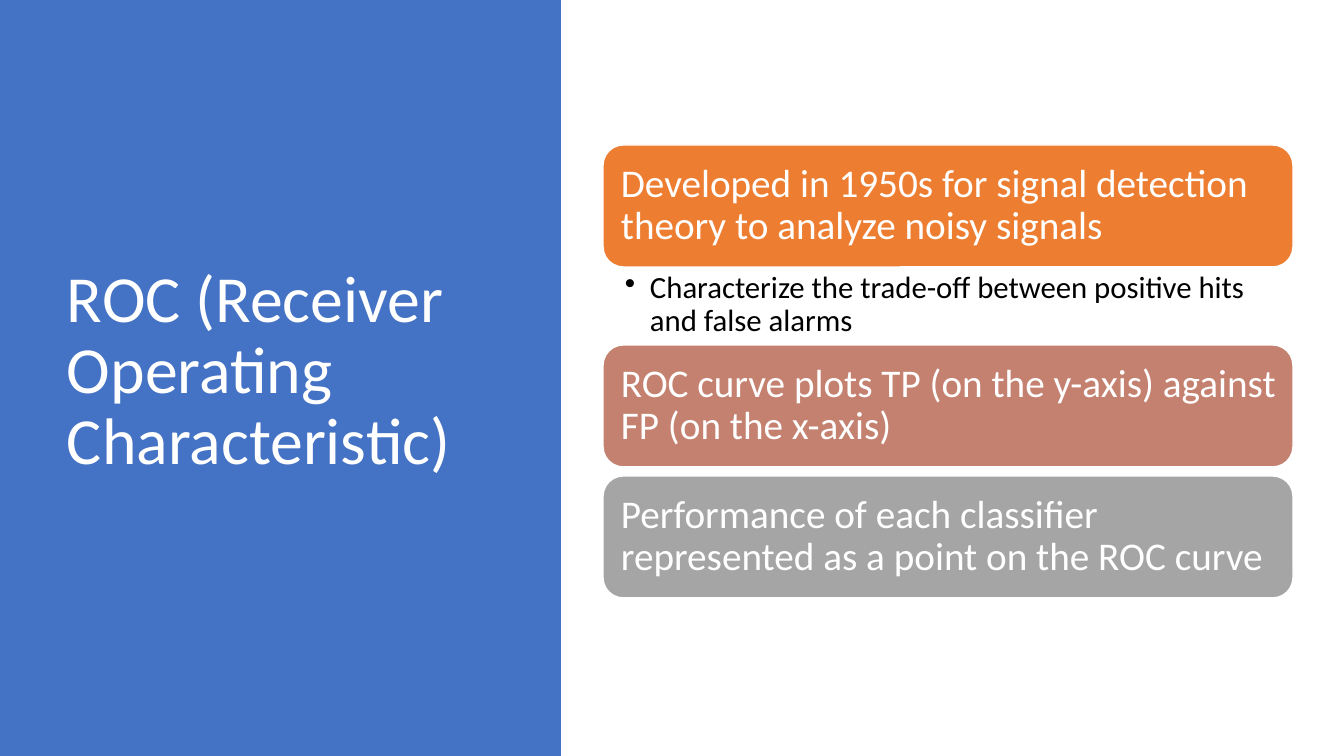
import pptx
import pptx.util
import pptx.dml.color
import pptx.enum.shapes
import pptx.enum.text
from lxml import etree

PX = 12192000 / 1344
THEME = {
    "font": "Calibri",
    "panel": "4472C4",
    "light": "FFFFFF",
    "dark": "000000",
    "title_size": 47,
    "card_size": 28,
    "bullet_size": 22,
}
SHAPE = pptx.enum.shapes.MSO_SHAPE
ANCHOR = pptx.enum.text.MSO_ANCHOR


def px(*lengths):
    return [pptx.util.Emu(round(n * PX)) for n in lengths]


def write(sp, text, size, color, insets, anchor):
    tf = sp.text_frame
    tf.word_wrap = True
    tf.vertical_anchor = anchor
    tf.margin_left, tf.margin_top, tf.margin_right, tf.margin_bottom = px(*insets)
    tf.text = text
    p = tf.paragraphs[0]
    p.alignment = pptx.enum.text.PP_ALIGN.LEFT
    p.line_spacing = 0.9
    r = p.runs[0]
    r.font.name = THEME["font"]
    r.font.size = pptx.util.Pt(size)
    r.font.color.rgb = pptx.dml.color.RGBColor.from_string(color)
    return p


prs = pptx.Presentation()
prs.slide_width, prs.slide_height = px(1344, 756)
s = prs.slides.add_slide(prs.slide_layouts[6])

panel = s.shapes.add_shape(SHAPE.RECTANGLE, *px(0, 0, 561, 756))
panel.shadow.inherit = False
panel.fill.solid()
panel.fill.fore_color.rgb = pptx.dml.color.RGBColor.from_string(THEME["panel"])
panel.line.fill.background()

title = s.shapes.add_textbox(*px(57, 69, 419, 607))
write(title, "ROC (Receiver Operating Characteristic)", THEME["title_size"],
      THEME["light"], (10, 5, 10, 5), ANCHOR.MIDDLE)

cards = [
    (145, "ED7D31", "Developed in 1950s for signal detection theory to analyze noisy signals"),
    (345, "C48170", "ROC curve plots TP (on the y-axis) against FP (on the x-axis)"),
    (476, "A5A5A5", "Performance of each classifier represented as a point on the ROC curve"),
]
for top, color, text in cards:
    card = s.shapes.add_shape(SHAPE.ROUNDED_RECTANGLE, *px(603, top, 690, 122))
    card.shadow.inherit = False
    card.fill.solid()
    card.fill.fore_color.rgb = pptx.dml.color.RGBColor.from_string(color)
    card.line.color.rgb = pptx.dml.color.RGBColor.from_string(THEME["light"])
    card.line.width = pptx.util.Pt(1)
    write(card, text, THEME["card_size"], THEME["light"], (12, 6, 10, 6), ANCHOR.MIDDLE)

detail = s.shapes.add_textbox(*px(603, 268, 690, 77))
p = write(detail, "Characterize the trade-off between positive hits and false alarms",
          THEME["bullet_size"], THEME["dark"], (22, 4, 22, 4), ANCHOR.TOP)
p.level = 1
pPr = p._p.get_or_add_pPr()
indent = px(25)[0]
pPr.set("marL", str(indent))
pPr.set("indent", str(-indent))
bullet = etree.SubElement(pPr, pptx.oxml.ns.qn("a:buChar"))
bullet.set("char", "•")

prs.save("out.pptx")
